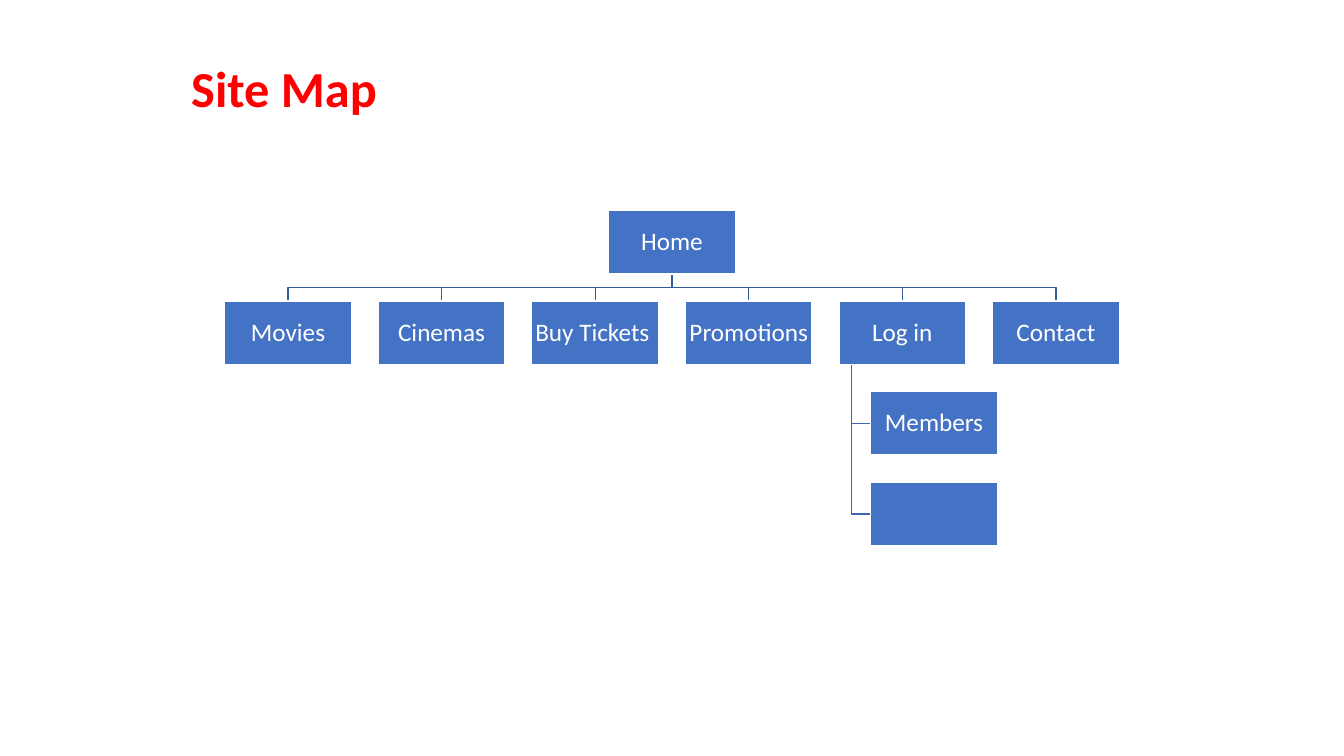
import pptx
import pptx.util
import pptx.dml.color
import pptx.enum.shapes
import pptx.enum.text
from pptx.util import Cm, Pt

COLORS = {"title": "FF0000", "box": "4472C4", "edge": "FFFFFF", "text": "FFFFFF",
          "menu_link": "365B9D", "submenu_link": "3E67B2"}
MENU = ["Movies", "Cinemas", "Buy Tickets ", "Promotions", "Log in", "Contact"]
SUBMENU_PARENT = "Log in"
SUBMENU = ["Members", ""]

# Sizes in centimetres
BOX_W, BOX_H = 3.2, 1.6
COLUMN_STEP, ROW_STEP = 3.87, 2.28


def color(name):
    return pptx.dml.color.RGBColor.from_string(COLORS[name])


def write(frame, text, size, color_name, bold=False):
    span = frame.paragraphs[0].add_run()
    span.text = text
    formats = {"name": "Calibri", "size": Pt(size), "bold": bold}
    for key, value in formats.items():
        setattr(span.font, key, value)
    span.font.color.rgb = color(color_name)


def add_title(page, left, top, width, height):
    frame = page.shapes.add_textbox(Cm(left), Cm(top), Cm(width), Cm(height)).text_frame
    frame.word_wrap = True
    write(frame, "Site Map", 36, "title", bold=True)


def add_link(page, points, color_name):
    start, *rest = [(Cm(x), Cm(y)) for x, y in points]
    builder = page.shapes.build_freeform(*start, scale=1.0)
    builder.add_line_segments(rest, close=False)
    link = builder.convert_to_shape()
    link.shadow.inherit = False
    link.fill.background()
    link.line.color.rgb = color(color_name)
    link.line.width = Pt(1)


def add_box(page, text, left, top):
    box = page.shapes.add_shape(pptx.enum.shapes.MSO_SHAPE.RECTANGLE,
                                Cm(left), Cm(top), Cm(BOX_W), Cm(BOX_H))
    box.shadow.inherit = False
    box.fill.solid()
    box.fill.fore_color.rgb = color("box")
    box.line.color.rgb = color("edge")
    box.line.width = Pt(1)
    if not text:
        return
    frame = box.text_frame
    margin = Cm(0.03)
    formats = {"margin_left": margin, "margin_right": margin, "margin_top": margin,
               "margin_bottom": margin, "word_wrap": True,
               "vertical_anchor": pptx.enum.text.MSO_ANCHOR.MIDDLE}
    for key, value in formats.items():
        setattr(frame, key, value)
    para = frame.paragraphs[0]
    para.alignment = pptx.enum.text.PP_ALIGN.CENTER
    para.line_spacing = 0.9
    write(frame, text, 18, "text")


def add_site_tree(page, left, top):
    menu_lefts = [left + i * COLUMN_STEP for i in range(len(MENU))]
    home_left = (menu_lefts[0] + menu_lefts[-1]) / 2
    menu_top = top + ROW_STEP
    parent_left = menu_lefts[MENU.index(SUBMENU_PARENT)]
    child_left = parent_left + BOX_W / 4
    child_tops = [menu_top + (i + 1) * ROW_STEP for i in range(len(SUBMENU))]

    # Links from Home to the menu
    home_x, home_bottom = home_left + BOX_W / 2, top + BOX_H
    bend = (home_bottom + menu_top) / 2
    for menu_left in menu_lefts:
        x = menu_left + BOX_W / 2
        add_link(page, [(home_x, home_bottom), (home_x, bend), (x, bend), (x, menu_top)],
                 "menu_link")

    # Links from the parent entry to its submenu
    trunk = parent_left + BOX_W / 10
    for child_top in child_tops:
        y = child_top + BOX_H / 2
        add_link(page, [(trunk, menu_top + BOX_H), (trunk, y), (child_left, y)],
                 "submenu_link")

    # Boxes
    add_box(page, "Home", home_left, top)
    for text, menu_left in zip(MENU, menu_lefts):
        add_box(page, text, menu_left, menu_top)
    for text, child_top in zip(SUBMENU, child_tops):
        add_box(page, text, child_left, child_top)


def main():
    deck = pptx.Presentation()
    deck.slide_width, deck.slide_height = Cm(33.87), Cm(19.05)
    page = deck.slides.add_slide(deck.slide_layouts[6])
    add_title(page, 4.57, 1.32, 20.88, 1.8)
    add_site_tree(page, 5.66, 5.31)
    deck.save("out.pptx")


if __name__ == "__main__":
    main()
